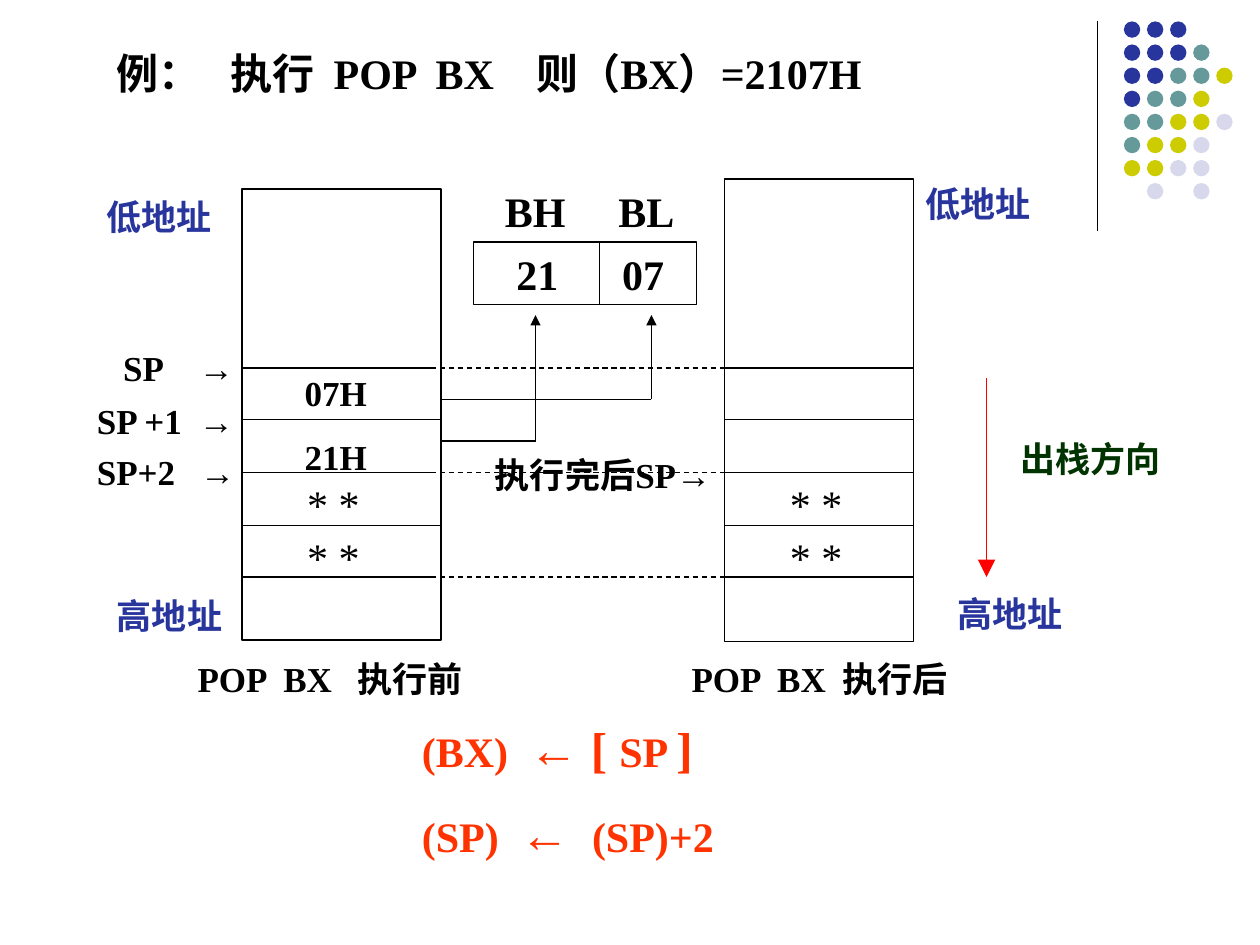
from pptx import Presentation
from pptx.dml.color import RGBColor
from pptx.enum.dml import MSO_LINE
from pptx.enum.shapes import MSO_CONNECTOR, MSO_SHAPE
from pptx.oxml.ns import qn
from pptx.util import Inches, Pt
from lxml.etree import SubElement

BLACK = RGBColor(0x00, 0x00, 0x00)
BLUE = RGBColor(0x27, 0x35, 0x9D)
TEAL = RGBColor(0x66, 0x99, 0x99)
OLIVE = RGBColor(0xCC, 0xCC, 0x00)
LILAC = RGBColor(0xD8, 0xD8, 0xEC)
GREEN = RGBColor(0x00, 0x33, 0x00)
RED = RGBColor(0xFF, 0x00, 0x00)
ORANGE = RGBColor(0xFF, 0x33, 0x00)

SERIF, SANS = "Times New Roman", "Arial"
DOT_ROWS = ["BBB", "BBBT", "BBTTO", "BTTO", "TTOOL", "TOOL", "OOLL", " L L"]
DOT_COLORS = {"B": BLUE, "T": TEAL, "O": OLIVE, "L": LILAC}
ROW_LINES = [2.92, 3.33, 3.75, 4.17, 4.58]


class StackSlide:
    def __init__(self, slide):
        self.shapes = slide.shapes

    def line(self, x1, y1, x2, y2, color=BLACK, dashed=False, head=None):
        sp = self.shapes.add_connector(
            MSO_CONNECTOR.STRAIGHT, Inches(x1), Inches(y1), Inches(x2), Inches(y2))
        sp.line.color.rgb = color
        sp.line.width = Pt(0.75)
        if dashed:
            sp.line.dash_style = MSO_LINE.DASH
        spPr = sp._element.spPr
        if head:
            SubElement(spPr.find(qn("a:ln")), qn("a:tailEnd"),
                       type="triangle", w=head, len=head)
        SubElement(spPr, qn("a:effectLst"))

    def rect(self, x, y, w, h):
        sp = self.shapes.add_shape(
            MSO_SHAPE.RECTANGLE, Inches(x), Inches(y), Inches(w), Inches(h))
        sp.shadow.inherit = False
        sp.fill.background()
        sp.line.color.rgb = BLACK
        sp.line.width = Pt(0.75)

    def dot(self, x, y, color):
        sp = self.shapes.add_shape(
            MSO_SHAPE.OVAL, Inches(x), Inches(y), Inches(0.13), Inches(0.13))
        sp.shadow.inherit = False
        sp.fill.solid()
        sp.fill.fore_color.rgb = color
        sp.line.fill.background()

    def box(self, x, y, w, h):
        tf = self.shapes.add_textbox(
            Inches(x), Inches(y), Inches(w), Inches(h)).text_frame
        tf.word_wrap = True
        return tf

    def tabs(self, p, stops):
        if stops:
            tab_list = SubElement(p._p.get_or_add_pPr(), qn("a:tabLst"))
            for stop in stops:
                SubElement(tab_list, qn("a:tab"), pos=str(Inches(stop)), algn="l")

    def style(self, r, size=20, color=BLACK, bold=True, font=SERIF):
        r.font.size = Pt(size)
        r.font.color.rgb = color
        r.font.bold = bold
        r.font.name = font

    def text(self, x, y, w, h, text, stops=(), gap=12.5, **style):
        tf = self.box(x, y, w, h)
        tf.text = text
        for i, p in enumerate(tf.paragraphs):
            if i:
                p.space_before = Pt(gap)
            self.tabs(p, stops)
            for r in p.runs:
                self.style(r, **style)

    def runs(self, p, parts, stops, color=BLACK):
        self.tabs(p, stops)
        for text, size, font in parts:
            r = p.add_run()
            r.text = text
            self.style(r, size, color, font=font)

    def pointer(self, x, y, w, name, stop):
        p = self.box(x, y, w, 0.44).paragraphs[0]
        self.runs(p, [(name + "\t", 20, SERIF), ("→", 20, SANS)], [stop])

    def stack(self, x, y, w, h, odd_width):
        self.rect(x, y, w, h)
        for i, row in enumerate(ROW_LINES):
            self.line(x, row, x + (w if i % 2 else odd_width), row)

    def elbow_arrow(self, x1, y1, x2, y2):
        self.line(x1, y1, x2, y1)
        self.line(x2, y1, x2, y2, head="med")


def main():
    prs = Presentation()
    prs.slide_width, prs.slide_height = Inches(10), Inches(7.5)
    s = StackSlide(prs.slides.add_slide(prs.slide_layouts[6]))

    s.line(8.71, 0.17, 8.71, 1.83)
    for i, row in enumerate(DOT_ROWS):
        for j, key in enumerate(row):
            if key in DOT_COLORS:
                s.dot(8.92 + j * 0.55 / 3, 0.17 + i * 0.55 / 3, DOT_COLORS[key])

    s.text(0.83, 0.33, 8.67, 6.1, "例：\t执行\tPOP\tBX\t则（BX）=2107H",
           stops=[0.9, 1.72, 2.53, 3.33], size=24)

    s.stack(1.92, 1.5, 1.58, 3.58, odd_width=1.5)
    s.stack(5.75, 1.42, 1.5, 3.67, odd_width=1.5)
    for y in ROW_LINES[::2]:
        s.line(3.42, y, 5.75, y, dashed=True)

    s.pointer(0.88, 2.7, 1.37, "SP", 0.6)
    s.pointer(0.67, 3.12, 1.5, "SP +1", 0.81)
    s.pointer(0.67, 3.53, 1.5, "SP+2", 0.82)
    s.text(3.83, 3.55, 2.08, 0.44, "执行完后SP→")

    for x, y, label, color in [
            (0.75, 1.5, "低地址", BLUE), (0.83, 4.67, "高地址", BLUE),
            (7.25, 1.4, "低地址", BLUE), (7.5, 4.65, "高地址", BLUE),
            (8, 3.42, "出栈方向", GREEN)]:
        s.text(x, y, 1.92, 0.44, label, color=color)
    s.line(7.83, 3, 7.83, 4.58, color=RED, head="lg")

    s.text(2.32, 2.9, 1.26, 0.94, "07H\n21H")
    for x in (2.34, 6.17):
        for y in ROW_LINES[2:4]:
            s.text(x, y, 0.8, 0.5, "* *", size=24, bold=False)
    s.text(1.47, 5.17, 2.5, 0.44, "POP\tBX\t执行前", stops=[0.68, 1.27])
    s.text(5.39, 5.17, 2.5, 0.44, "POP\tBX\t执行后", stops=[0.68, 1.2])

    s.rect(3.76, 1.92, 1.77, 0.5)
    s.line(4.76, 1.92, 4.76, 2.42)
    s.text(3.91, 1.42, 1.77, 0.5, "BH\tBL", stops=[0.9], size=24)
    s.text(4, 1.92, 0.7, 0.5, "21", size=24)
    s.text(4.84, 1.92, 0.7, 0.5, "07", size=24)
    s.elbow_arrow(3.5, 3.17, 5.17, 2.5)
    s.elbow_arrow(3.5, 3.5, 4.25, 2.5)

    tf = s.box(3.25, 5.65, 3.59, 1.24)
    s.runs(tf.paragraphs[0],
           [("(BX)\t", 24, SERIF), ("←", 28, SANS), ("\t[ ", 28, SERIF),
            ("SP ", 24, SERIF), ("]", 28, SERIF)], [0.85, 1.34], ORANGE)
    p = tf.add_paragraph()
    p.space_before = Pt(15)
    s.runs(p, [("(SP)\t", 24, SERIF), ("←", 28, SANS), ("\t(SP)+2", 24, SERIF)],
           [0.78, 1.35], ORANGE)

    prs.save("out.pptx")


if __name__ == "__main__":
    main()
